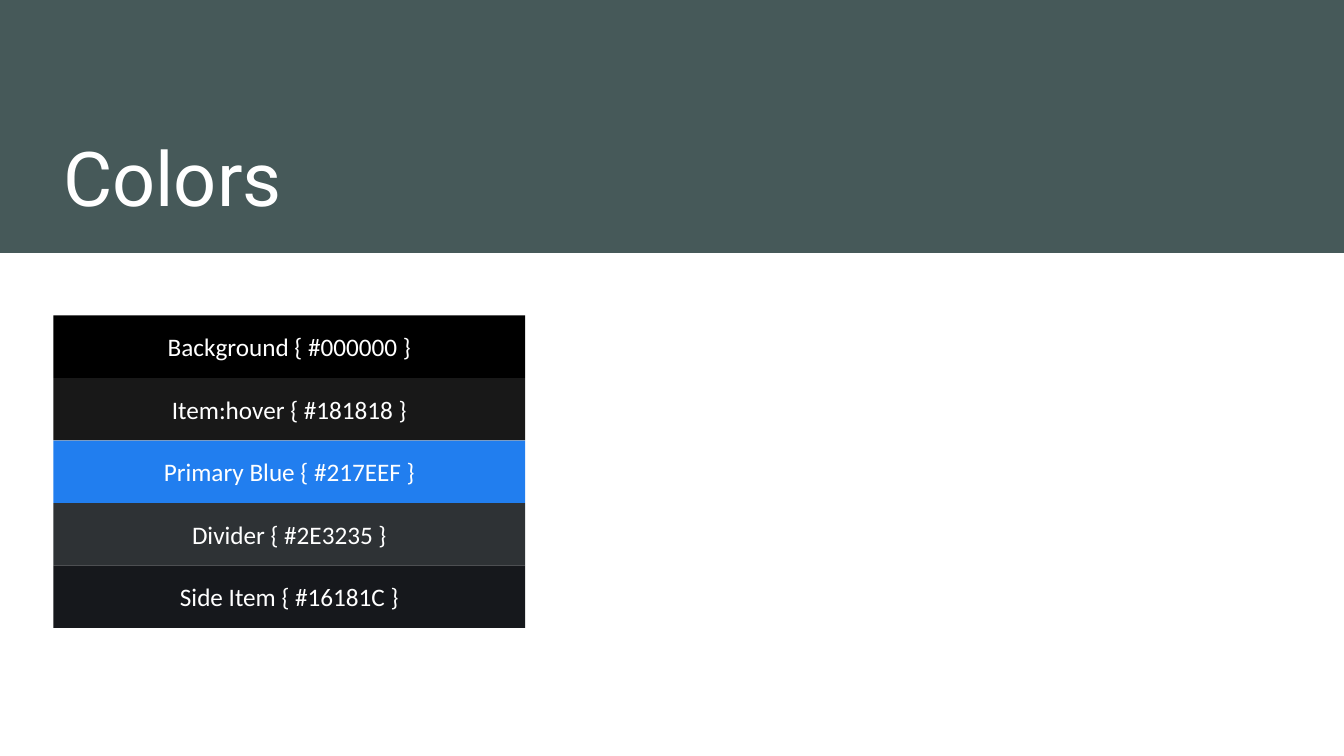
from pptx import Presentation
from pptx.dml.color import RGBColor
from pptx.enum import shapes, text
from pptx.util import Inches, Pt

COLORS = {
    "header": "465959",
    "text": "FFFFFF",
    "Background": "000000",
    "Item:hover": "181818",
    "Primary Blue": "217EEF",
    "Divider": "2E3235",
    "Side Item": "16181C",
}
SWATCHES = ["Background", "Item:hover", "Primary Blue", "Divider", "Side Item"]
LEFT = 0.53
SWATCH_TOP, SWATCH_WIDTH, SWATCH_HEIGHT = 3.13, 4.68, 0.62


def add_block(page, left, top, width, height, color):
    block = page.shapes.add_shape(
        shapes.MSO_SHAPE.RECTANGLE,
        Inches(left), Inches(top), Inches(width), Inches(height))
    block.shadow.inherit = False
    block.fill.solid()
    block.fill.fore_color.rgb = RGBColor.from_string(COLORS[color])
    block.line.fill.background()
    return block


def write(box, wording, font, size, anchor, align):
    frame = box.text_frame
    frame.text = wording
    frame.word_wrap = True
    frame.vertical_anchor = anchor
    para = frame.paragraphs[0]
    para.alignment = align
    span = para.runs[0]
    span.font.name = font
    span.font.size = Pt(size)
    span.font.color.rgb = RGBColor.from_string(COLORS["text"])


deck = Presentation()
deck.slide_width = Inches(13.33)
deck.slide_height = Inches(7.5)
page = deck.slides.add_slide(deck.slide_layouts[6])

add_block(page, 0, 0, 13.33, 2.51, "header")
title = page.shapes.add_textbox(Inches(LEFT), Inches(0.4), Inches(11.89), Inches(1.85))
write(title, "Colors", "Roboto", 54, text.MSO_ANCHOR.BOTTOM, text.PP_ALIGN.LEFT)

for row, name in enumerate(SWATCHES):
    swatch = add_block(page, LEFT, SWATCH_TOP + row * SWATCH_HEIGHT,
                       SWATCH_WIDTH, SWATCH_HEIGHT, name)
    write(swatch, f"{name} {{ #{COLORS[name]} }}", "Calibri", 18,
          text.MSO_ANCHOR.MIDDLE, text.PP_ALIGN.CENTER)

deck.save("out.pptx")
